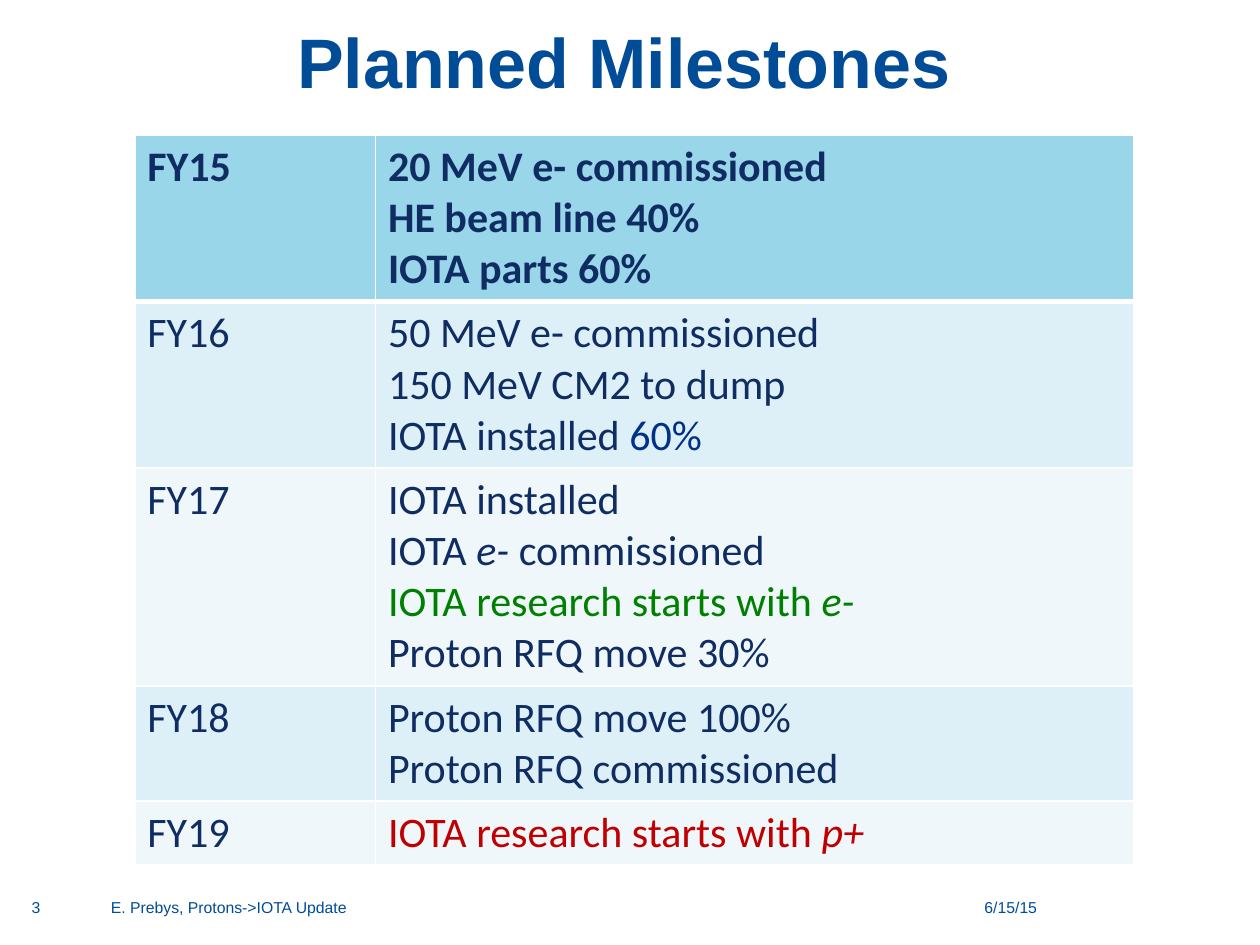
from lxml import etree
from pptx import Presentation
from pptx import util as u
from pptx.dml.color import RGBColor
from pptx.enum import text
from pptx.oxml import ns

BLUE = RGBColor(0x00, 0x4C, 0x97)
NAVY = RGBColor(0x0F, 0x2D, 0x62)
ROYAL = RGBColor(0x00, 0x30, 0x87)
GREEN = RGBColor(0x00, 0x80, 0x00)
RED = RGBColor(0xC0, 0x00, 0x00)
WHITE = RGBColor(0xFF, 0xFF, 0xFF)
HEADER = RGBColor(0x99, 0xD6, 0xEA)
BANDS = [RGBColor(0xEF, 0xF7, 0xFB), RGBColor(0xDE, 0xF0, 0xF7)]

MILESTONES = [
    ("FY15", [[("20 MeV e- commissioned",)], [("HE beam line 40%",)], [("IOTA parts 60%",)]]),
    ("FY16", [[("50 MeV e- commissioned",)], [("150 MeV CM2 to dump",)],
              [("IOTA installed ",), ("60%", ROYAL)]]),
    ("FY17", [[("IOTA installed",)],
              [("IOTA ",), ("e-", NAVY, True), (" commissioned",)],
              [("IOTA research starts with ", GREEN), ("e-", GREEN, True)],
              [("Proton RFQ move 30%",)]]),
    ("FY18", [[("Proton RFQ move 100%",)], [("Proton RFQ commissioned",)]]),
    ("FY19", [[("IOTA research starts with ", RED), ("p+", RED, True)]]),
]


class MilestoneSlide:
    """Holds the style and the current slide; lengths are shares of the slide's size."""

    def __init__(self, prs):
        self.w, self.h = prs.slide_width, prs.slide_height
        self.s = prs.slides.add_slide(prs.slide_layouts[6])
        self.s.background.fill.solid()
        self.s.background.fill.fore_color.rgb = WHITE

    def box(self, x, y, w, h):
        return int(x * self.w), int(y * self.h), int(w * self.w), int(h * self.h)

    def style(self, r, font, size, color, bold=False, italic=False):
        r.font.name, r.font.size = font, u.Pt(size)
        r.font.bold, r.font.italic = bold, italic
        r.font.color.rgb = color

    def label(self, words, at, size=9, bold=False, align=text.PP_ALIGN.LEFT,
              anchor=text.MSO_ANCHOR.TOP):
        tf = self.s.shapes.add_textbox(*self.box(*at)).text_frame
        tf.margin_left = tf.margin_right = tf.margin_top = tf.margin_bottom = 0
        tf.word_wrap, tf.vertical_anchor = True, anchor
        tf.text = words
        p = tf.paragraphs[0]
        p.alignment = align
        self.style(p.runs[0], "Arial", size, BLUE, bold)

    def borders(self, cell, bottom):
        tc_pr = cell._tc.get_or_add_tcPr()
        for side, width in (("L", 1), ("R", 1), ("T", 1), ("B", bottom)):
            ln = etree.SubElement(tc_pr, ns.qn(f"a:ln{side}"), w=str(u.Pt(width)))
            fill = etree.SubElement(ln, ns.qn("a:solidFill"))
            etree.SubElement(fill, ns.qn("a:srgbClr"), val=str(WHITE))

    def cell(self, cell, lines, row):
        self.borders(cell, 1 if row else 3)
        cell.fill.solid()
        cell.fill.fore_color.rgb = BANDS[row % 2] if row else HEADER
        tf = cell.text_frame
        for i, line in enumerate(lines):
            p = tf.add_paragraph() if i else tf.paragraphs[0]
            for words, color, italic in ((t + (NAVY, False)[len(t) - 1:]) for t in line):
                r = p.add_run()
                r.text = words
                self.style(r, "Calibri", 24, color, row == 0, italic)

    def table(self, rows, at, shares, line=0.0543, padding=0.0133):
        table = self.s.shapes.add_table(len(rows), len(shares), *self.box(*at)).table
        for column, share in zip(table.columns, shares):
            column.width = int(share * self.w)
        for i, (year, goals) in enumerate(rows):
            table.rows[i].height = int((len(goals) * line + padding) * self.h)
            self.cell(table.cell(i, 0), [[(year,)]], i)
            self.cell(table.cell(i, 1), goals, i)


def main():
    prs = Presentation()
    prs.slide_width, prs.slide_height = u.Inches(10), u.Inches(7.5)
    slide = MilestoneSlide(prs)
    slide.label("Planned Milestones", (0, 0.015, 0.99, 0.093), 40, True,
                text.PP_ALIGN.CENTER, text.MSO_ANCHOR.BOTTOM)
    slide.table(MILESTONES, (0.107, 0.143, 0.793, 0.77), (0.191, 0.602))
    for words, x, w, align in (
            ("3", 0.025, 0.049, text.PP_ALIGN.LEFT),
            ("E. Prebys, Protons->IOTA Update", 0.088, 0.588, text.PP_ALIGN.LEFT),
            ("6/15/15", 0.705, 0.118, text.PP_ALIGN.RIGHT)):
        slide.label(words, (x, 0.95, w, 0.035), align=align)
    prs.save("out.pptx")


if __name__ == "__main__":
    main()
